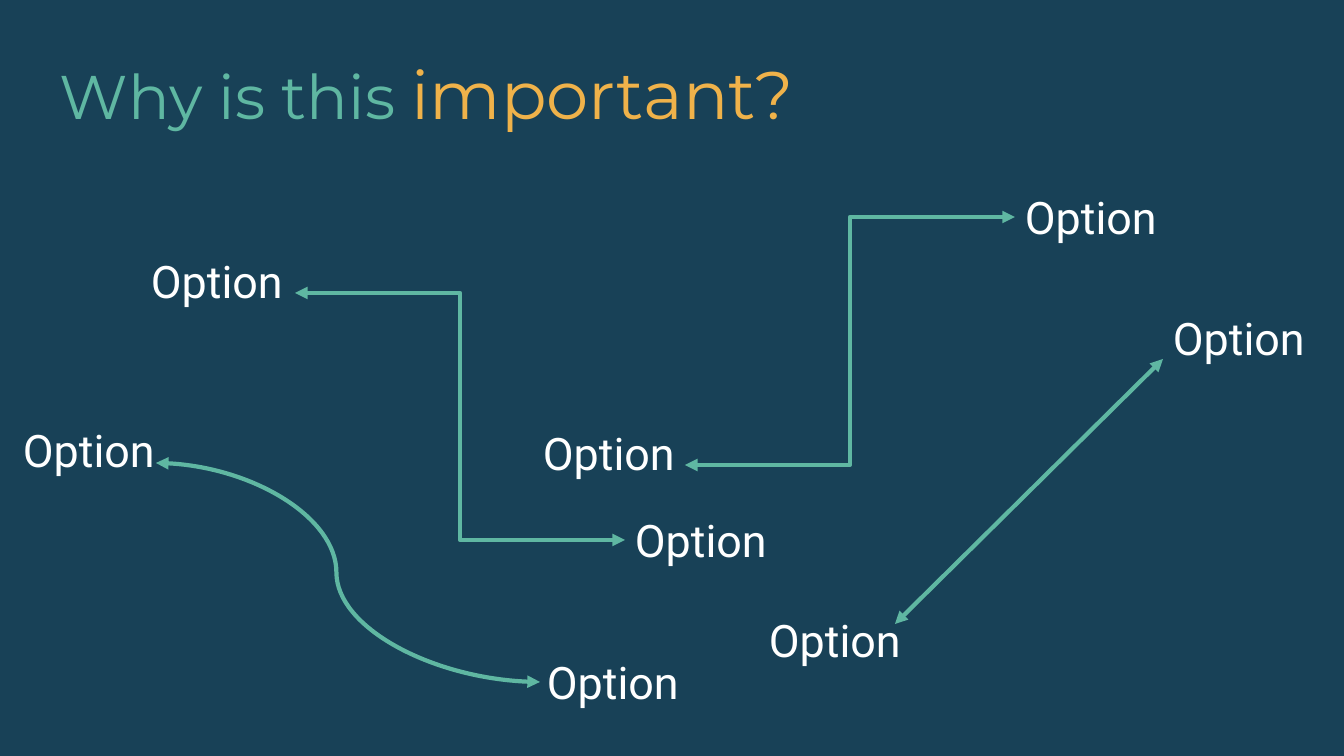
from lxml import etree
from pptx import Presentation
from pptx import util as u
from pptx.dml.color import RGBColor
from pptx.enum import shapes, text
from pptx.oxml.ns import qn

# Content: lengths in px
SLIDE = (1344, 756)
NAVY, GREEN, AMBER, WHITE = "184157", "5FB7A2", "EFB24A", "FFFFFF"
TITLE_BOX = (50, 47, 820, 92)
TITLE = [("Why is this ", 44, GREEN), ("important?", 48, AMBER)]
OPTION_SIZE = (226, 65)
OPTIONS = [(141, 249), (625, 508), (533, 421), (1015, 185),
           (1163, 306), (759, 608), (537, 650), (13, 418)]
KIND = shapes.MSO_CONNECTOR
# kind, start, end, position of the bend in 1/100000 of the width
ARROWS = [
    (KIND.ELBOW, (295, 293), (625, 540), None),
    (KIND.ELBOW, (1015, 217), (685, 465), None),
    (KIND.STRAIGHT, (1163, 359), (895, 624), None),
    (KIND.CURVE, (156, 463), (540, 682), 47000),
]


def px(n):
    return u.Emu(round(n * 914400 / 100.8))


def color(value):
    return RGBColor.from_string(value)


def add_text(slide, box, runs, font, wrap=True):
    tf = slide.shapes.add_textbox(*map(px, box)).text_frame
    tf.word_wrap = wrap
    tf.auto_size = text.MSO_AUTO_SIZE.SHAPE_TO_FIT_TEXT
    p = tf.paragraphs[0]
    for words, size, fill in runs:
        r = p.add_run()
        r.text = words
        r.font.name, r.font.size = font, u.Pt(size)
        r.font.color.rgb = color(fill)


def add_arrow(slide, kind, start, end, bend):
    c = slide.shapes.add_connector(kind, *map(px, start + end))
    c.line.color.rgb = color(GREEN)
    c.line.width = u.Pt(3)
    # Arrowheads at both ends, no shadow
    ln = c.line._get_or_add_ln()
    for tag in ("a:headEnd", "a:tailEnd"):
        etree.SubElement(ln, qn(tag), type="triangle")
    sp_pr = c._element.spPr
    etree.SubElement(sp_pr, qn("a:effectLst"))
    if bend is not None:
        guides = sp_pr.find(qn("a:prstGeom")).find(qn("a:avLst"))
        etree.SubElement(guides, qn("a:gd"), name="adj1", fmla=f"val {bend}")


# Slide and background
prs = Presentation()
prs.slide_width, prs.slide_height = map(px, SLIDE)
s = prs.slides.add_slide(prs.slide_layouts[6])
s.background.fill.solid()
s.background.fill.fore_color.rgb = color(NAVY)

# Title, arrows and options
add_text(s, TITLE_BOX, TITLE, "Montserrat", wrap=False)
for arrow in ARROWS:
    add_arrow(s, *arrow)
for place in OPTIONS:
    add_text(s, place + OPTION_SIZE, [("Option", 32, WHITE)], "Roboto")

prs.save("out.pptx")
